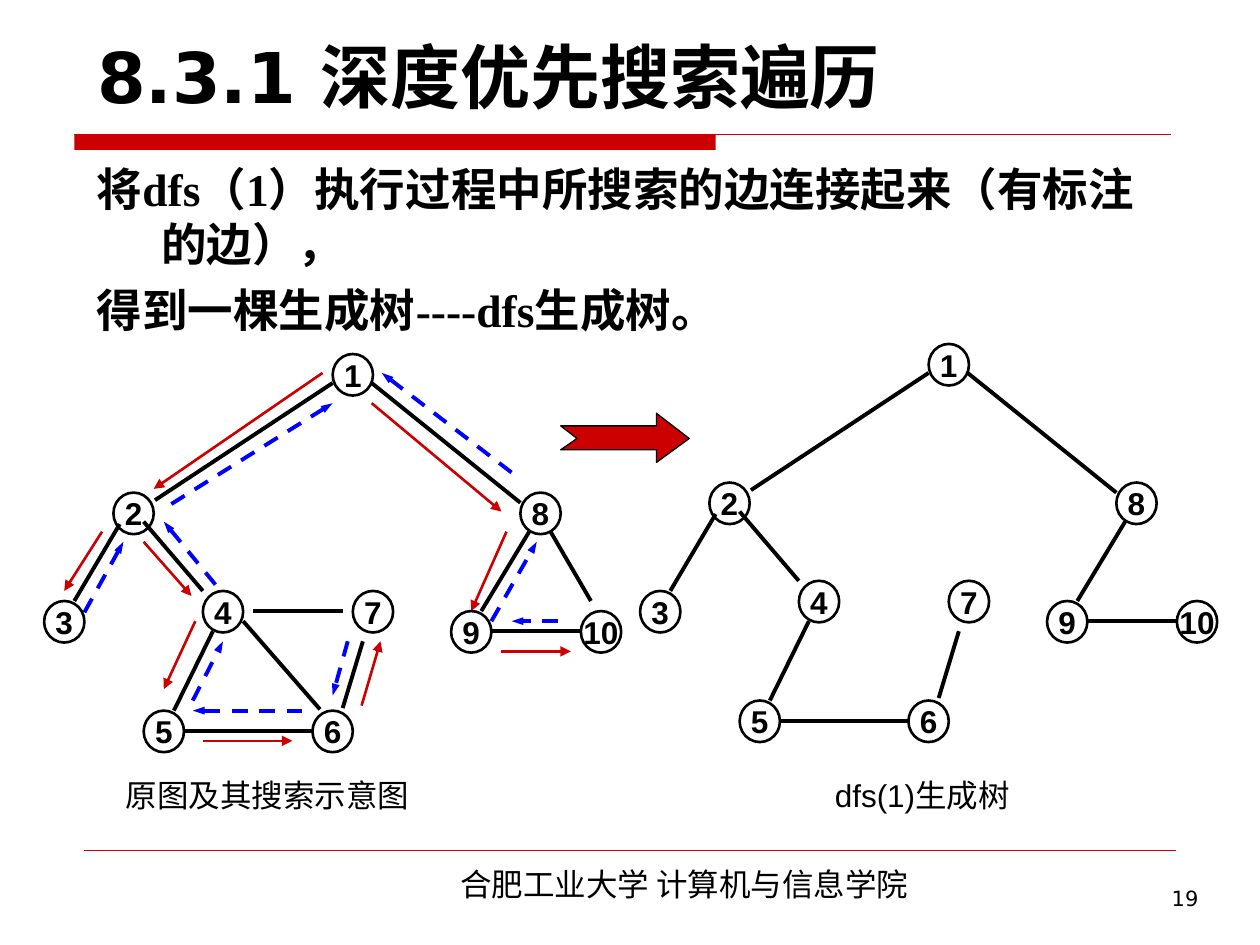
from lxml import etree
from pptx import Presentation
from pptx.dml.color import RGBColor
from pptx.enum.dml import MSO_LINE
from pptx.enum.shapes import MSO_CONNECTOR, MSO_SHAPE
from pptx.enum.text import MSO_ANCHOR, MSO_AUTO_SIZE, PP_ALIGN
from pptx.oxml.ns import qn
from pptx.util import Inches, Pt

STRAIGHT = MSO_CONNECTOR.STRAIGHT
OVAL, RECTANGLE = MSO_SHAPE.OVAL, MSO_SHAPE.RECTANGLE
DASH = MSO_LINE.DASH
LEFT, CENTER, RIGHT = PP_ALIGN.LEFT, PP_ALIGN.CENTER, PP_ALIGN.RIGHT
TOP, MIDDLE, BOTTOM = MSO_ANCHOR.TOP, MSO_ANCHOR.MIDDLE, MSO_ANCHOR.BOTTOM

RED = RGBColor(0xCC, 0x00, 0x00)
BLUE = RGBColor(0x00, 0x00, 0xFF)
BLACK = RGBColor(0x00, 0x00, 0x00)

# Content
TITLE = "8.3.1 深度优先搜索遍历"
BODY = ["将dfs（1）执行过程中所搜索的边连接起来（有标注的边），",
        "得到一棵生成树----dfs生成树。"]
LABELS = [  # text, box, font, size, alignment
    ("原图及其搜索示意图", (0.9, 6.11, 2.6, 0.4), "Arial", 18, LEFT),
    ("dfs(1)生成树", (6.02, 6.11, 2.6, 0.4), "Arial", 18, CENTER),
    ("合肥工业大学 计算机与信息学院", (2.4, 6.82, 6.06, 0.4), "Noto Sans CJK SC", 18, CENTER),
    ("19", (7.44, 6.98, 2.17, 0.52), "DejaVu Sans", 12, RIGHT),
]

# Graph: top left corner of each vertex, then line ends
NODE_W, NODE_H = 0.32, 0.33
NODES = {1: (2.64, 2.81), 2: (0.9, 3.91), 3: (0.35, 4.77), 4: (1.61, 4.69),
         5: (1.14, 5.64), 6: (2.48, 5.64), 7: (2.8, 4.69), 8: (4.13, 3.91),
         9: (3.58, 4.85), 10: (4.61, 4.85)}
TREE_EDGES = [
    (2.64, 3.04, 1.23, 3.97),  # 1-2
    (0.95, 4.16, 0.59, 4.77),  # 2-3
    (1.14, 4.14, 1.61, 4.69),  # 2-4
    (1.69, 5.01, 1.38, 5.64),  # 4-5
    (1.46, 5.8, 2.48, 5.8),    # 5-6
    (2.88, 5.09, 2.72, 5.62),  # 6-7
    (2.95, 3.04, 4.13, 3.99),  # 1-8
    (4.2, 4.22, 3.82, 4.85),   # 8-9
    (3.9, 5.01, 4.61, 5.01),   # 9-10
]
OTHER_EDGES = [
    (1.93, 4.93, 2.54, 5.63),  # 4-6
    (2.01, 4.85, 2.72, 4.85),  # 4-7
    (4.37, 4.22, 4.69, 4.77),  # 8-10
]
VISITS = [
    (2.56, 2.96, 1.22, 3.88), (0.81, 4.22, 0.51, 4.69), (1.14, 4.3, 1.52, 4.73),
    (1.55, 4.93, 1.3, 5.47), (1.61, 5.88, 2.32, 5.88), (2.87, 5.6, 3.02, 5.09),
    (2.95, 3.2, 3.98, 4.06), (4.02, 4.22, 3.74, 4.85), (3.98, 5.17, 4.53, 5.17),
]
RETURNS = [
    (0.67, 4.86, 0.98, 4.3), (2.76, 5.09, 2.64, 5.52), (2.4, 5.64, 1.53, 5.64),
    (1.53, 5.56, 1.77, 5.09), (1.71, 4.64, 1.3, 4.14), (1.36, 4, 2.64, 3.2),
    (4.43, 4.93, 4.06, 4.93), (3.9, 4.93, 4.26, 4.3), (4.06, 3.75, 3.03, 2.96),
]
TREE_SHIFT = (4.73, -0.08)
BLOCK_ARROW = [(4.45, 3.38), (5.21, 3.38), (5.21, 3.28), (5.47, 3.48),
               (5.21, 3.67), (5.21, 3.57), (4.45, 3.57), (4.58, 3.48)]


def add_line(shapes, ends, color, width, head=None, dash=None):
    line = shapes.add_connector(STRAIGHT, *map(Inches, ends))
    line.line.color.rgb = color
    line.line.width = Pt(width)
    if dash:
        line.line.dash_style = dash
    properties = line._element.spPr
    if head:
        etree.SubElement(properties.find(qn("a:ln")), qn("a:tailEnd"),
                         type="triangle", w=head, len="med")
    etree.SubElement(properties, qn("a:effectLst"))


def write(frame, paragraphs, font, size, align, anchor=TOP, bold=False, wrap=True):
    frame.auto_size = MSO_AUTO_SIZE.NONE
    frame.word_wrap = wrap
    frame.vertical_anchor = anchor
    frame.text = "\n".join(paragraphs)
    style = {"name": font, "size": Pt(size), "bold": bold}
    for paragraph in frame.paragraphs:
        paragraph.alignment = align
        for run in paragraph.runs:
            for key, value in style.items():
                setattr(run.font, key, value)
            run.font.color.rgb = BLACK


def add_graph(shapes, edges, shift=(0, 0)):
    dx, dy = shift
    for x1, y1, x2, y2 in edges:
        add_line(shapes, (x1 + dx, y1 + dy, x2 + dx, y2 + dy), BLACK, 2.25)
    for number, (x, y) in NODES.items():
        node = shapes.add_shape(OVAL, Inches(x + dx), Inches(y + dy),
                                Inches(NODE_W), Inches(NODE_H))
        node.shadow.inherit = False
        node.fill.background()
        node.line.color.rgb = BLACK
        node.line.width = Pt(1.5)
        write(node.text_frame, [str(number)], "Arial", 18, CENTER, MIDDLE, True, False)


prs = Presentation()
prs.slide_width, prs.slide_height = Inches(10), Inches(7.5)
slide = prs.slides.add_slide(prs.slide_layouts[5])

# Title, header bar and footer rule
title = slide.shapes.title
title.left, title.top, title.width, title.height = map(Inches, (0.67, -0.35, 8.75, 1.33))
write(title.text_frame, [TITLE], "DejaVu Sans", 40, LEFT, BOTTOM, True)
bar = slide.shapes.add_shape(RECTANGLE, *map(Inches, (0.59, 1.07, 5.09, 0.12)))
bar.shadow.inherit = False
bar.fill.solid()
bar.fill.fore_color.rgb = RED
bar.line.fill.background()
add_line(slide.shapes, (0.59, 1.07, 9.29, 1.07), RED, 0.75)
add_line(slide.shapes, (0.67, 6.75, 9.33, 6.75), RED, 0.25)

# Body text with hanging indent
body = slide.shapes.add_textbox(*map(Inches, (0.67, 1.23, 8.74, 1.5))).text_frame
write(body, BODY, "Times New Roman", 26, LEFT, bold=True)
for paragraph in body.paragraphs:
    indent = paragraph._p.get_or_add_pPr()
    indent.set("marL", str(Inches(0.51)))
    indent.set("indent", str(Inches(-0.51)))
for paragraph in body.paragraphs[1:]:
    paragraph.space_before = Pt(6.5)

# Searched graph on the left, spanning tree on the right
search = slide.shapes.add_group_shape().shapes
for ends in VISITS:
    add_line(search, ends, RED, 1.5, head="med")
for ends in RETURNS:
    add_line(search, ends, BLUE, 2.25, head="sm", dash=DASH)
add_graph(search, TREE_EDGES + OTHER_EDGES)
add_graph(slide.shapes.add_group_shape().shapes, TREE_EDGES, TREE_SHIFT)

# Block arrow between them
start, *corners = [(Inches(x), Inches(y)) for x, y in BLOCK_ARROW]
builder = slide.shapes.build_freeform(*start)
builder.add_line_segments(corners, close=True)
block_arrow = builder.convert_to_shape()
block_arrow.shadow.inherit = False
block_arrow.fill.solid()
block_arrow.fill.fore_color.rgb = RED
block_arrow.line.color.rgb = BLACK
block_arrow.line.width = Pt(0.75)

# Captions, footer and page number
for text, box, font, size, align in LABELS:
    label = slide.shapes.add_textbox(*map(Inches, box))
    write(label.text_frame, [text], font, size, align)

prs.save("out.pptx")
